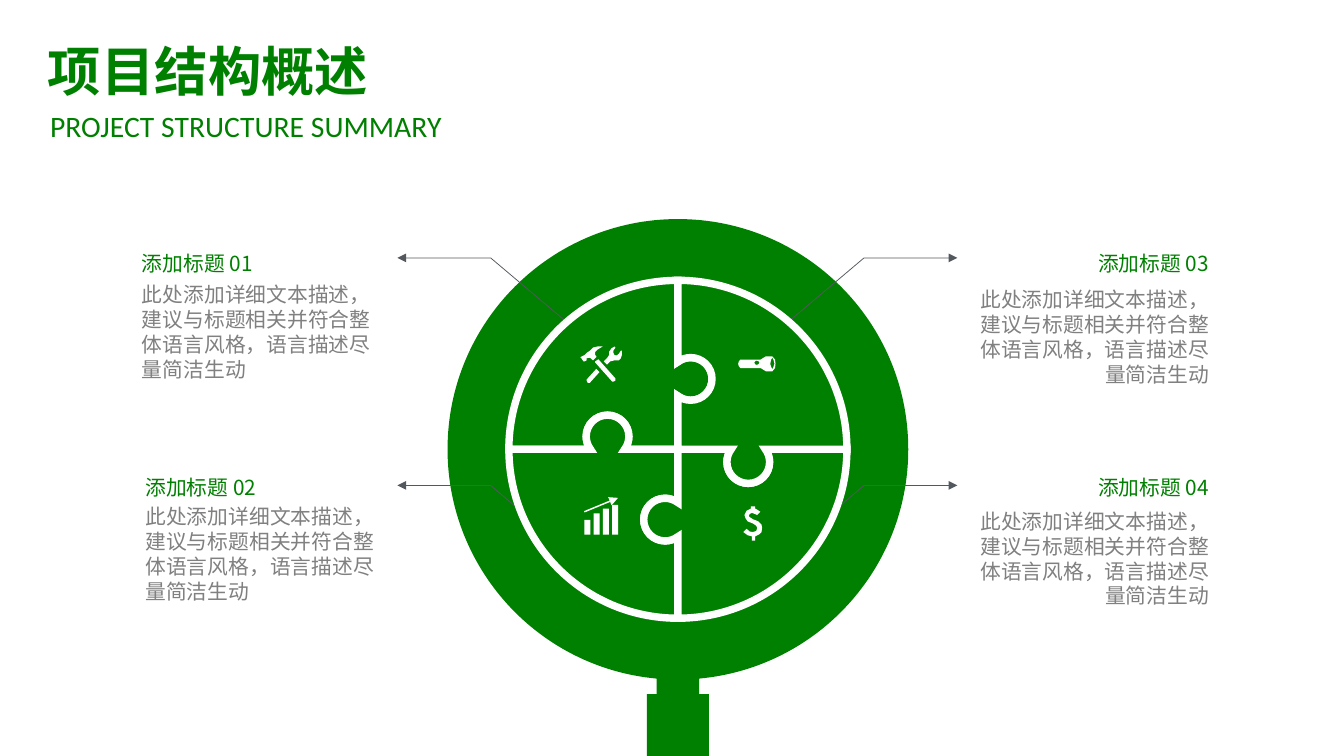
from math import cos, radians, sin, tan

from lxml import etree
from pptx import Presentation
from pptx.dml.color import RGBColor
from pptx.enum.shapes import MSO_CONNECTOR as Connector, MSO_SHAPE as Preset
from pptx.enum.text import MSO_ANCHOR as Anchor, PP_ALIGN as Align
from pptx.oxml.ns import qn
from pptx.util import Pt

COLORS = {"green": "008000", "white": "FFFFFF", "body": "808080", "leader": "53585F"}
CJK = "Noto Sans CJK SC"
DESCRIPTION = "此处添加详细文本描述，建议与标题相关并符合整体语言风格，语言描述尽量简洁生动"

# Magnifier geometry
CENTER = (457.6, 303.4)
LENS_RADIUS, HOLE_RADIUS, PUZZLE_RADIUS = 155.5, 116, 114.1
KNOB_RADIUS, KNOB_SHIFT, KNOB_DISTANCE, KNOB_ANGLE = 14.4, 8.64, 47.5, 126.87
ICON_UNIT = 0.72

# Icon outlines in icon units, measured from the icon's top left corner
TOOLS = [
    [(6, 31), (6, 32), (7, 34), (9, 34), (18, 24), (15, 21)],
    [(39, 4), (38, 4), (36, 7), (34, 8.5), (32, 8), (31, 6), (31, 4), (33, 1), (32, 0),
     (29, 2), (27, 5), (27, 8), (25, 11), (22, 14), (25, 17), (28, 14), (32, 13), (36, 13),
     (38, 11), (39, 8)],
    [(17, 12), (14, 14), (14, 15), (30, 33), (31, 33), (33, 32), (33, 30)],
    [(6, 11), (9, 10.5), (12, 13), (15, 10), (15, 9), (14, 8), (14, 5), (16, 3), (21, 0),
     (16, 0), (12, 1), (9, 4), (6, 6), (4, 8), (2, 9), (0, 10), (1, 11), (3, 14), (4, 14),
     (6, 13)],
]
TORCH = [
    [(35, 7), (34.5, 3), (32, 0), (26, 0), (21, 3), (2, 3), (0.5, 5), (0, 7), (0.5, 9),
     (2, 11), (21, 11), (26, 14), (32, 14), (34.5, 11)],
    [(30, 7), (31, 3), (32, 1), (33, 3), (34, 7), (33, 10), (32, 12), (31, 10)],
    [(15, 6), (16, 4.5), (17, 4), (19, 4.5), (20, 6), (19, 7.5), (17, 8), (16, 7.5)],
]
DOLLAR = [
    [(16, 5), (13, 8), (8, 6), (6, 7), (5, 9), (6, 10), (9, 12), (14, 14), (17, 17),
     (17.5, 20), (17, 24), (15, 26), (11, 28), (11, 32), (8, 32), (8, 28), (4, 27), (0, 24),
     (3, 21), (6, 23.5), (9, 24), (12, 23), (13, 20), (12, 18), (9, 16), (4, 14), (2, 11),
     (1, 8), (3, 4), (7, 2), (7, 0), (11, 0), (11, 2), (13, 3)],
]
# Outlines, left, top, rotation
ICONS = [(TOOLS, 391.7, 234, 0), (TORCH, 498.5, 241.2, 45), (DOLLAR, 501.8, 342, 0)]

# Number, alignment, heading box and body box (left, top, width)
SECTIONS = [
    ("01", Align.LEFT, (95.8, 166.4, 182), (95.8, 190.4, 166.3)),
    ("02", Align.LEFT, (98.2, 318.2, 180), (98.2, 340.2, 163.4)),
    ("03", Align.RIGHT, (636.8, 166.4, 179.3), (649.8, 193.7, 166.3)),
    ("04", Align.RIGHT, (636.8, 318.2, 179.3), (652.7, 343.4, 163.4)),
]


def rgb(name):
    return RGBColor.from_string(COLORS[name])


def arc(center, radius, *angles):
    """Start point, then one Bézier triple per step; degrees clockwise from the right."""
    def at(angle, slide_along=0):
        c, s = cos(radians(angle)), sin(radians(angle))
        return (center[0] + radius * (c - slide_along * s),
                center[1] + radius * (s + slide_along * c))

    points = [at(angles[0])]
    for start, end in zip(angles, angles[1:]):
        pull = 4 / 3 * tan(radians(end - start) / 4)
        points.append((at(start, pull), at(end, -pull), at(end)))
    return points


def transform(contour, move):
    """Apply move to every point, including those within Bézier triples."""
    return [tuple(move(*p) for p in item) if len(item) == 3 else move(*item)
            for item in contour]


def add_outline(slide, contours, fill=None, line=None, width=0, closed=True):
    builder, curve_starts, drawn = None, [], 0
    for contour in contours:
        start = [Pt(v) for v in contour[0]]
        if builder:
            builder.move_to(*start)
        else:
            builder = slide.shapes.build_freeform(*start, scale=1.0)
        points = []
        for item in contour[1:]:
            if len(item) == 3:
                curve_starts.append(drawn + len(points))
            points.extend(item if len(item) == 3 else [item])
        drawn += len(points)
        builder.add_line_segments([(Pt(x), Pt(y)) for x, y in points], close=closed)
    outline = builder.convert_to_shape()
    # Turn the points of each Bézier triple into one curve
    segments = list(outline._element.iter(qn("a:lnTo")))
    for first in curve_starts:
        curve = etree.Element(qn("a:cubicBezTo"))
        segments[first].addprevious(curve)
        for segment in segments[first:first + 3]:
            curve.append(segment[0])
            segment.getparent().remove(segment)
    outline.shadow.inherit = False
    if fill:
        outline.fill.solid()
        outline.fill.fore_color.rgb = rgb(fill)
    else:
        outline.fill.background()
    if line:
        outline.line.color.rgb = rgb(line)
        outline.line.width = Pt(width)
        add_line_part(outline, "miter", lim="800000")
    else:
        outline.line.fill.background()
    return outline


def add_line_part(shape, tag, **attributes):
    etree.SubElement(shape.line._get_or_add_ln(), qn(f"a:{tag}"), **attributes)


def write(shape, text, size, color, font=CJK, align=Align.LEFT, spacing=None,
          bold=False, anchor=Anchor.TOP, insets=(0, 0)):
    frame = shape.text_frame
    frame.word_wrap = True
    frame.vertical_anchor = anchor
    frame.margin_left = frame.margin_right = Pt(insets[0])
    frame.margin_top = frame.margin_bottom = Pt(insets[1])
    paragraph = frame.paragraphs[0]
    run = paragraph.add_run()
    run.text = text
    paragraph.alignment = align
    if spacing:
        paragraph.line_spacing = Pt(spacing)
    paragraph.font.size = Pt(size)
    paragraph.font.bold = bold
    paragraph.font.color.rgb = rgb(color)
    paragraph.font.name = font
    # East Asian glyphs need their own typeface entry
    etree.SubElement(run.font._element, qn("a:ea"), typeface=font)


def add_text(slide, box, *args, **options):
    write(slide.shapes.add_textbox(*map(Pt, box)), *args, **options)


def add_magnifier(slide):
    x, y = CENTER
    neck = 5.3  # degrees from the vertical to the neck's edge
    body = arc(CENTER, LENS_RADIUS, 90 + neck, 180, 270, 360, 450 - neck)
    handle = [(x + 14.4, 468.7), (x + 20.9, 468.7), (x + 20.9, 711.4),
              (x - 20.9, 711.4), (x - 20.9, 468.7), (x - 14.4, 468.7)]
    hole = arc(CENTER, HOLE_RADIUS, 0, -90, -180, -270, -360)
    add_outline(slide, [body + handle, hole], fill="green")


def add_leader(slide, side, top, drop):
    points = [(457.2 + side * dx, y)
              for dx, y in ((62.9, top + drop), (126, top), (189, top))]
    leader = add_outline(slide, [points], line="leader", width=0.5, closed=False)
    add_line_part(leader, "headEnd", type="oval")
    add_line_part(leader, "tailEnd", type="triangle")


def add_puzzle(slide):
    knob = arc((KNOB_SHIFT, -KNOB_DISTANCE), KNOB_RADIUS,
               -KNOB_ANGLE, -90, 0, 90, KNOB_ANGLE)
    notch = arc((-KNOB_DISTANCE, -KNOB_SHIFT), KNOB_RADIUS,
                KNOB_ANGLE - 90, 0, -90, -180, -KNOB_ANGLE - 90)
    piece = arc((0, 0), PUZZLE_RADIUS, 180, 270) + knob + [(0, 0)] + notch
    for _ in range(4):
        placed = transform(piece, lambda x, y: (CENTER[0] + x, CENTER[1] + y))
        add_outline(slide, [placed], fill="green", line="white", width=5)
        piece = transform(piece, lambda x, y: (y, -x))  # quarter turn


def add_icon(slide, contours, left, top, rotation):
    # Points are turned back about the middle, then the shape is rotated
    middle_x, middle_y = (max(p[i] for p in contours[0]) / 2 for i in (0, 1))
    c, s = cos(radians(rotation)), sin(radians(rotation))

    def place(x, y):
        dx, dy = x - middle_x, y - middle_y
        return (left + ICON_UNIT * (middle_x + c * dx + s * dy),
                top + ICON_UNIT * (middle_y - s * dx + c * dy))

    icon = add_outline(slide, [transform(contour, place) for contour in contours],
                       fill="white")
    icon.rotation = rotation


def add_growth_icon(slide):
    for i, height in enumerate((10.1, 14.4, 17.6, 20.2)):
        bar = slide.shapes.add_shape(Preset.RECTANGLE, Pt(394.4 + 6.25 * i),
                                     Pt(361.1 - height), Pt(4.2), Pt(height))
        bar.shadow.inherit = False
        bar.fill.solid()
        bar.fill.fore_color.rgb = rgb("white")
        bar.line.fill.background()
    trend = slide.shapes.add_connector(Connector.STRAIGHT, Pt(394.4), Pt(345.6),
                                       Pt(417.2), Pt(336.2))
    trend.line.color.rgb = rgb("white")
    trend.line.width = Pt(1)
    add_line_part(trend, "tailEnd", type="triangle")
    etree.SubElement(trend._element.spPr, qn("a:effectLst"))


def add_section(slide, number, align, heading, body):
    add_text(slide, (*heading, 23), f"添加标题 {number}", 14, "green", align=align,
             spacing=16, anchor=Anchor.MIDDLE, insets=(0, 3.6))
    add_text(slide, (*body, 67.7), DESCRIPTION, 14, "body", align=align, spacing=16.8)


def main():
    deck = Presentation()
    deck.slide_width, deck.slide_height = Pt(907.2), Pt(510.5)
    slide = deck.slides.add_slide(deck.slide_layouts[5])

    # Title and subtitle
    title = slide.shapes.title
    title.left, title.top, title.width, title.height = map(Pt, (24.5, 21.6, 287.3, 51.8))
    write(title, "项目结构概述", 36, "green", spacing=43.2, bold=True, insets=(7.9, 4.3))
    add_text(slide, (33.8, 72.7, 283.7, 24.5), "PROJECT STRUCTURE SUMMARY", 20, "green",
             font="Calibri")

    # Magnifier with leaders running under the puzzle
    add_magnifier(slide)
    for top, drop in ((174.2, 53.3), (327.8, 53.8)):
        for side in (-1, 1):
            add_leader(slide, side, top, drop)
    add_puzzle(slide)

    # Icons
    for icon in ICONS:
        add_icon(slide, *icon)
    add_growth_icon(slide)

    # Captions
    for section in SECTIONS:
        add_section(slide, *section)

    deck.save("out.pptx")


if __name__ == "__main__":
    main()
